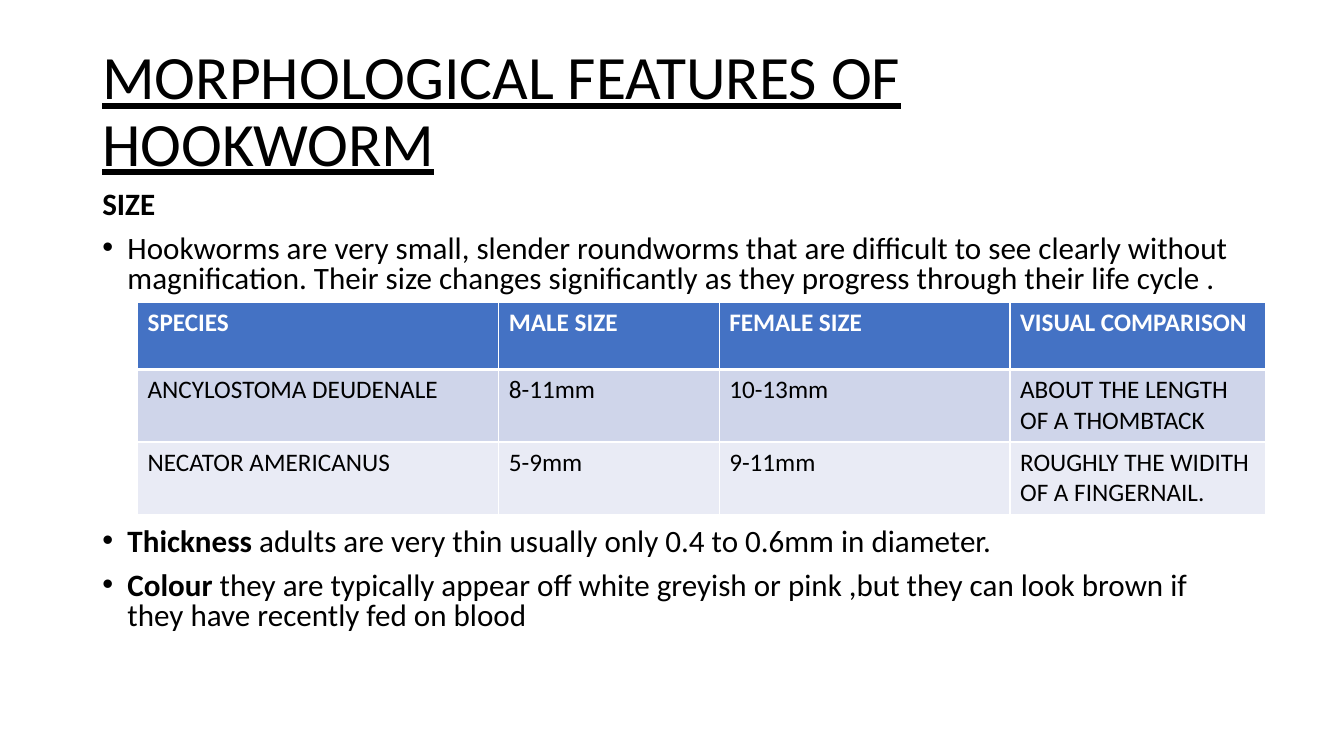
from dataclasses import dataclass

from lxml import etree
from pptx import Presentation
from pptx import util as u
from pptx.dml import color
from pptx.enum import text
from pptx.oxml import ns


@dataclass(frozen=True)
class Theme:
    font: str = "Calibri"
    ink: str = "000000"
    paper: str = "FFFFFF"
    head: str = "4472C4"
    bands: tuple = ("CFD5EA", "E9EBF5")
    title: float = 44
    body: float = 22.2
    cell: float = 18


THEME = Theme()
ROWS = [
    ["SPECIES", "MALE SIZE", "FEMALE SIZE", "VISUAL COMPARISON"],
    ["ANCYLOSTOMA DEUDENALE", "8-11mm", "10-13mm",
     "ABOUT THE LENGTH OF A THOMBTACK"],
    ["NECATOR AMERICANUS", "5-9mm", "9-11mm",
     "ROUGHLY THE WIDITH OF A FINGERNAIL."],
]
INTRO = [
    (False, "SIZE", ""),
    (True, "", "Hookworms are very small, slender roundworms that are difficult "
     "to see clearly without magnification. Their size changes significantly "
     "as they progress through their life cycle ."),
]
TRAITS = [
    (True, "Thickness",
     " adults are very thin usually only 0.4 to 0.6mm in diameter."),
    (True, "Colour", " they are typically appear off white greyish or pink ,but "
     "they can look brown if they have recently fed on blood"),
]


def px(n):
    return u.Emu(n * 9525)


def add_run(para, words, size, ink=THEME.ink, **extra):
    run = para.add_run()
    run.text = words
    run.font.color.rgb = color.RGBColor.from_string(ink)
    look = {"name": THEME.font, "size": u.Pt(size), "bold": False, **extra}
    for key, value in look.items():
        setattr(run.font, key, value)


def add_frame(slide, box, anchor):
    frame = slide.shapes.add_textbox(*map(px, box)).text_frame
    frame.word_wrap = True
    frame.vertical_anchor = anchor
    return frame


def add_title(slide, box, words):
    frame = add_frame(slide, box, text.MSO_ANCHOR.MIDDLE)
    para = frame.paragraphs[0]
    para.line_spacing = 0.9
    add_run(para, words, THEME.title, underline=True)


def add_bullet(para):
    props = para._p.get_or_add_pPr()
    props.set("marL", str(px(24)))
    props.set("indent", str(px(-24)))
    for tag, key, value in (("buFont", "typeface", "Arial"),
                            ("buChar", "char", "•")):
        etree.SubElement(props, ns.qn(f"a:{tag}")).set(key, value)


def add_body(slide, box, items):
    frame = add_frame(slide, box, text.MSO_ANCHOR.TOP)
    for i, (dot, lead, rest) in enumerate(items):
        para = frame.add_paragraph() if i else frame.paragraphs[0]
        if dot:
            add_bullet(para)
        para.line_spacing = 0.8
        para.space_before = u.Pt(10 if i else 0)
        for words, bold in ((lead, True), (rest, False)):
            if words:
                add_run(para, words, THEME.body, bold=bold)


def add_edges(cell, widths):
    props = cell._tc.get_or_add_tcPr()
    for side, width in widths.items():
        line = etree.SubElement(props, ns.qn(f"a:ln{side}"))
        line.set("w", str(u.Pt(width)))
        fill = etree.SubElement(line, ns.qn("a:solidFill"))
        etree.SubElement(fill, ns.qn("a:srgbClr")).set("val", THEME.paper)


def add_grid(slide, box, rows, wide, tall):
    frame = slide.shapes.add_table(len(rows), len(wide), *map(px, box))
    table = frame.table
    for col, size in zip(table.columns, wide):
        col.width = px(size)
    for row, size in zip(table.rows, tall):
        row.height = px(size)
    for r, row in enumerate(rows):
        top = r == 0
        fill = THEME.head if top else THEME.bands[(r - 1) % 2]
        edges = {"L": 1, "R": 1, "T": 3 if r == 1 else 1, "B": 3 if top else 1}
        for c, words in enumerate(row):
            cell = table.cell(r, c)
            add_edges(cell, edges)
            cell.fill.solid()
            cell.fill.fore_color.rgb = color.RGBColor.from_string(fill)
            add_run(cell.text_frame.paragraphs[0], words, THEME.cell,
                    THEME.paper if top else THEME.ink, bold=top)


def add_page(deck, box):
    slide = deck.slides.add_slide(deck.slide_layouts[6])
    x, y, w, h = box
    wide, tall = (344, 210, 277, 243), (64, 69, 69)
    add_title(slide, (x, y, w, 139), "MORPHOLOGICAL FEATURES OF HOOKWORM")
    add_body(slide, (x, y + 140, w, 110), INTRO)
    add_body(slide, (x, y + 461, w, h - 461), TRAITS)
    add_grid(slide, (x + 43, y + 250, sum(wide), sum(tall)), ROWS, wide, tall)


def main():
    deck = Presentation()
    deck.slide_width, deck.slide_height = px(1280), px(720)
    add_page(deck, (88, 38, 1104, 597))
    deck.save("out.pptx")


if __name__ == "__main__":
    main()
